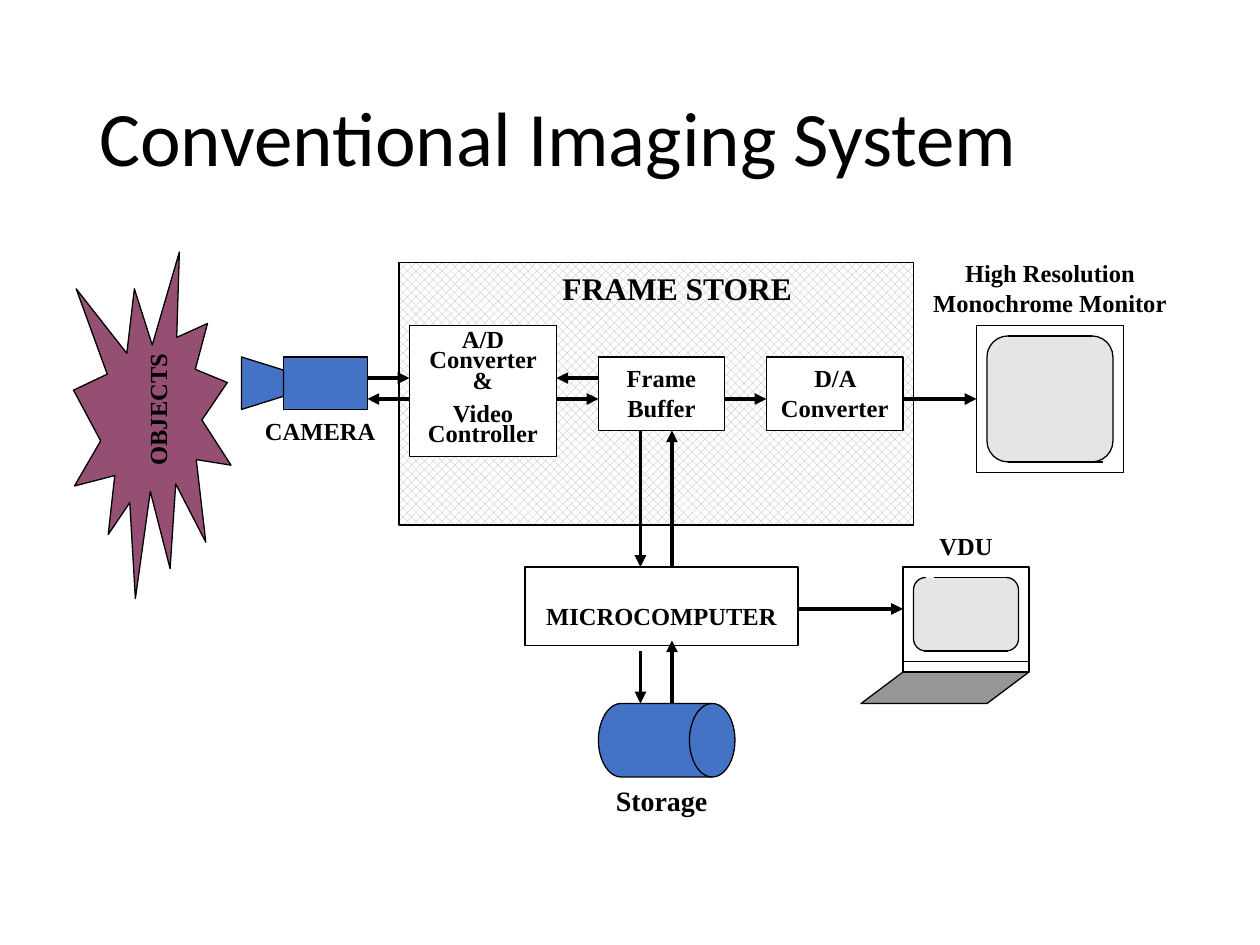
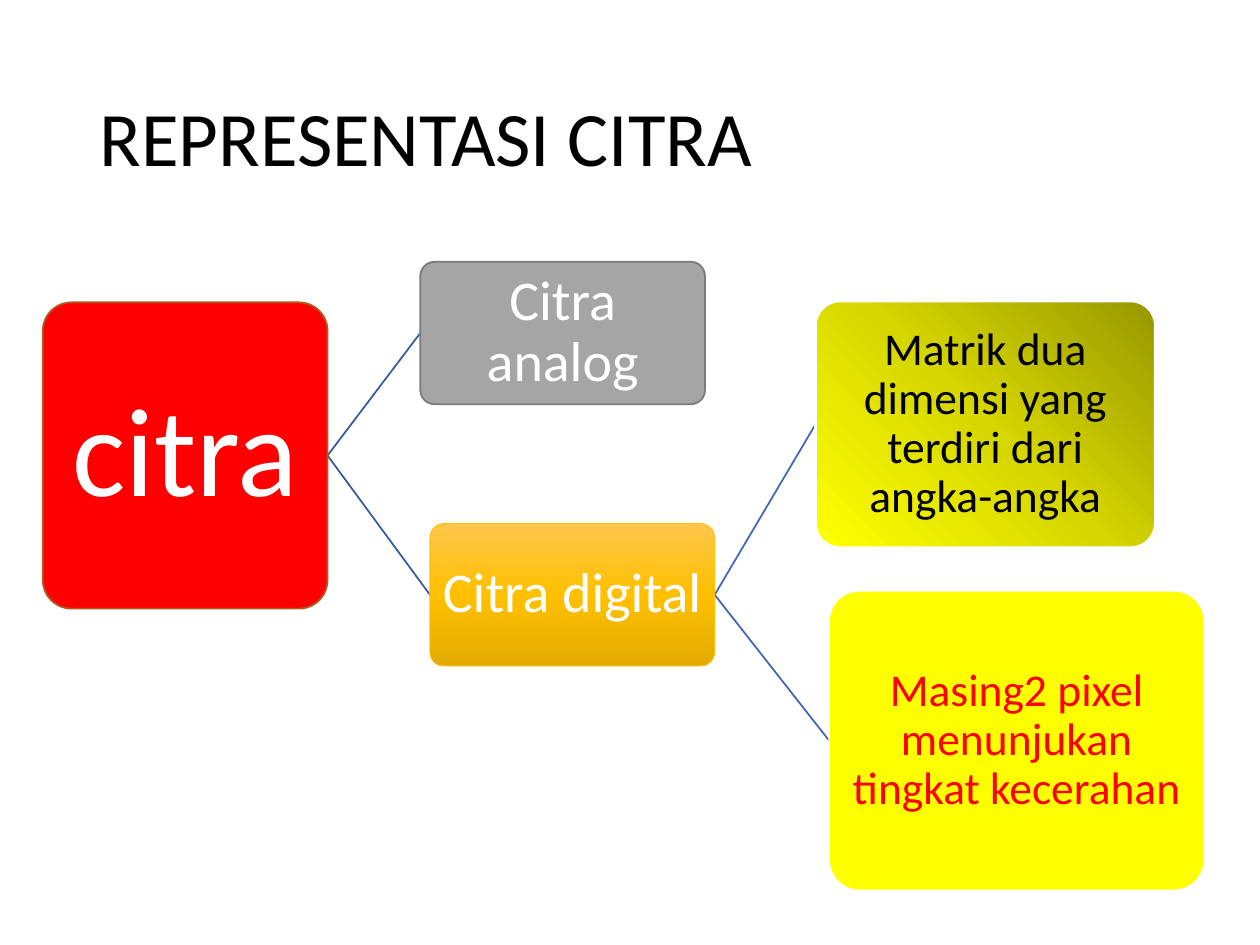
from copy import deepcopy

from lxml import etree
from pptx import Presentation
from pptx.dml.color import RGBColor
from pptx.enum.dml import MSO_PATTERN
from pptx.enum.shapes import MSO_CONNECTOR, MSO_SHAPE
from pptx.enum.text import MSO_ANCHOR, PP_ALIGN
from pptx.oxml.ns import qn
from pptx.util import Pt

BLACK = RGBColor(0x00, 0x00, 0x00)
WHITE = RGBColor(0xFF, 0xFF, 0xFF)
BLUE = RGBColor(0x44, 0x72, 0xC4)
PLUM = RGBColor(0x95, 0x4F, 0x72)
HATCH_GRAY = RGBColor(0xB2, 0xB2, 0xB2)
SCREEN_GRAY = RGBColor(0xCC, 0xCC, 0xCC)
KEYBOARD_GRAY = RGBColor(0x96, 0x96, 0x96)
RED = RGBColor(0xFF, 0x00, 0x00)
RED_EDGE = RGBColor(0xAF, 0x5C, 0x24)
GRAY = RGBColor(0xA5, 0xA5, 0xA5)
GRAY_EDGE = RGBColor(0x7A, 0x7A, 0x7A)
YELLOW = RGBColor(0xFF, 0xFF, 0x00)
GOLD = RGBColor(0xFF, 0xC0, 0x00)
GOLD_STOPS = (RGBColor(0xFF, 0xC6, 0x4B), GOLD, RGBColor(0xE3, 0xAB, 0x00))
YELLOW_STOPS = (RGBColor(0x97, 0x97, 0x00), RGBColor(0xD7, 0xD7, 0x00), YELLOW)
LINK_DARK = RGBColor(0x36, 0x5B, 0x9D)
LINK_LIGHT = RGBColor(0x3E, 0x67, 0xB2)

SANS = "Calibri"
SERIF = "Times New Roman"

RECT = MSO_SHAPE.RECTANGLE
ROUNDED = MSO_SHAPE.ROUNDED_RECTANGLE
BRACKETS = MSO_SHAPE.DOUBLE_BRACKET
DRUM = MSO_SHAPE.FLOWCHART_DIRECT_ACCESS_STORAGE
BURST = MSO_SHAPE.EXPLOSION1
PARALLELOGRAM = MSO_SHAPE.PARALLELOGRAM
STRAIGHT = MSO_CONNECTOR.STRAIGHT
CENTER, LEFT = PP_ALIGN.CENTER, PP_ALIGN.LEFT
TOP, MIDDLE = MSO_ANCHOR.TOP, MSO_ANCHOR.MIDDLE
LEFT_SIDE, RIGHT_SIDE = 1, 3


def write(sp, paragraphs, size, font=SERIF, color=BLACK, bold=True, align=CENTER,
          anchor=TOP, spacing=1.0, gap=0):
    tf = sp.text_frame
    tf.word_wrap = True
    tf.vertical_anchor = anchor
    for i, text in enumerate(paragraphs):
        p = tf.add_paragraph() if i else tf.paragraphs[0]
        p.text = text
        p.alignment = align
        p.line_spacing = spacing
        if i:
            p.space_before = Pt(gap)
        p.font.name, p.font.size, p.font.bold = font, Pt(size), bold
        p.font.color.rgb = color
    return tf


def add_label(slide, box, text, size=14, **style):
    sp = slide.shapes.add_textbox(*map(Pt, box))
    write(sp, [text], size, **style)
    return sp


def add_title(slide, text):
    add_label(slide, (49.7, 28.8, 620.6, 104.4), text, 44, font=SANS, bold=False,
              align=LEFT, anchor=MIDDLE, spacing=0.9)


def paint(sp, fill=None, line=BLACK, width=0.75):
    """Fill with a colour, a sequence of gradient stops (set later) or nothing."""
    sp.shadow.inherit = False
    if fill is None:
        sp.fill.background()
    else:
        sp.fill.solid()
        sp.fill.fore_color.rgb = fill
    sp.line.color.rgb = line
    sp.line.width = Pt(width)


def add_box(slide, kind, box, fill=None, line=BLACK, width=0.75, adj=None):
    sp = slide.shapes.add_shape(kind, *map(Pt, box))
    paint(sp, fill, line, width)
    if adj is not None:
        sp.adjustments[0] = adj
    return sp


def add_line(slide, x1, y1, x2, y2, color=BLACK, width=0.75, arrow=False):
    cn = slide.shapes.add_connector(STRAIGHT, Pt(x1), Pt(y1), Pt(x2), Pt(y2))
    cn.line.color.rgb = color
    cn.line.width = Pt(width)
    if arrow:
        etree.SubElement(cn.line._get_or_add_ln(), qn("a:tailEnd"), type="triangle")
    etree.SubElement(cn._element.spPr, qn("a:effectLst"))
    return cn


def add_arrow(slide, x1, y1, x2, y2):
    return add_line(slide, x1, y1, x2, y2, width=2.25, arrow=True)


def add_screen(slide, box, top_edge, bottom_edge):
    """Half-transparent screen whose brackets are closed by two edges (x1, x2)."""
    sp = add_box(slide, BRACKETS, box, SCREEN_GRAY, adj=0.167)
    rgb = sp._element.spPr.find(qn("a:solidFill"))[0]
    etree.SubElement(rgb, qn("a:alpha"), val="50000")
    top, bottom = box[1], box[1] + box[3]
    for y, (x1, x2) in ((top, top_edge), (bottom, bottom_edge)):
        add_line(slide, x1, y, x2, y)


def add_polygon(slide, points, fill):
    (x, y), *rest = points
    fb = slide.shapes.build_freeform(Pt(x), Pt(y))
    fb.add_line_segments([(Pt(px), Pt(py)) for px, py in rest], close=True)
    paint(fb.convert_to_shape(), fill)


def set_gradient(sp, colors, angle):
    """Three even stops; the angle runs counter-clockwise."""
    sp.fill.gradient()
    sp.fill.gradient_angle = angle
    stops = sp._element.spPr.find(".//" + qn("a:gsLst"))
    stops.append(deepcopy(stops[0]))
    for i, (stop, color) in enumerate(zip(sp.fill.gradient_stops, colors)):
        stop.color.rgb = color
        stop.position = i / 2


def add_node(slide, box, text, size, fill, line, width=1, color=WHITE, inset=1.5):
    sp = add_box(slide, ROUNDED, box, fill, line, width, adj=0.1)
    tf = write(sp, [text], size, font=SANS, color=color, bold=False, anchor=MIDDLE,
               spacing=0.9)
    tf.margin_left = tf.margin_right = tf.margin_top = tf.margin_bottom = Pt(inset)
    return sp


def link_nodes(slide, parent, child, color):
    cn = add_line(slide, 0, 0, 0, 0, color, 1)
    cn.begin_connect(parent, RIGHT_SIDE)
    cn.end_connect(child, LEFT_SIDE)
    slide.shapes._spTree.insert(2, cn._element)


def build_imaging_system(slide):
    add_title(slide, "Conventional Imaging System")

    store = add_box(slide, RECT, (228, 150, 294, 150), WHITE)
    store.fill.patterned()
    store.fill.pattern = MSO_PATTERN.PERCENT_50
    store.fill.fore_color.rgb = HATCH_GRAY
    store.fill.back_color.rgb = WHITE
    add_label(slide, (288, 150, 198, 29), "FRAME STORE", 18)

    converter = add_box(slide, RECT, (234, 186, 84, 75), WHITE)
    write(converter, ["A/D Converter &", "Video Controller"], 14, spacing=0.7, gap=7)
    for x, width, text in ((342, 72, "Frame Buffer"), (438, 78, "D/A Converter")):
        write(add_box(slide, RECT, (x, 204, width, 42), WHITE), [text], 14)

    micro = add_box(slide, RECT, (300, 324, 156, 45))
    tf = write(micro, ["MICROCOMPUTER"], 14, anchor=MIDDLE)
    tf.margin_top, tf.margin_bottom = Pt(11), Pt(0)

    add_box(slide, DRUM, (342, 402, 78, 42), BLUE)
    add_label(slide, (312, 444, 132, 27), "Storage", 16)

    add_box(slide, RECT, (162, 204, 48, 30), BLUE)
    add_polygon(slide, [(138, 234), (162, 226.5), (162, 211.5), (138, 204)], BLUE)
    add_label(slide, (144, 234, 78, 24), "CAMERA").text_frame.word_wrap = False

    add_box(slide, BURST, (42, 144, 90, 198), PLUM)
    add_label(slide, (30, 222, 120, 24), "OBJECTS").rotation = 270

    add_screen(slide, (564, 192, 72, 72), (576, 624), (576, 630))
    monitor = add_box(slide, RECT, (558, 186, 84, 84))
    add_label(slide, (516, 144, 168, 41), "High Resolution Monochrome Monitor")

    add_box(slide, PARALLELOGRAM, (492, 384, 96, 18), KEYBOARD_GRAY, adj=1.333)
    add_screen(slide, (522, 330, 60, 42), (534, 576), (528, 576))
    add_box(slide, RECT, (516, 324, 72, 60))
    add_line(slide, 516, 378, 588, 378)
    add_label(slide, (522, 300, 60, 24), "VDU")

    for arrow in (
        (210, 216, 234, 216), (234, 228, 210, 228),  # camera and A/D converter
        (342, 216, 318, 216), (318, 228, 342, 228),  # A/D converter and buffer
        (414, 228, 438, 228),                        # buffer to D/A converter
        (366, 246, 366, 324), (384, 324, 384, 246),  # buffer and microcomputer
        (366, 372, 366, 402), (384, 402, 384, 366),  # microcomputer and storage
        (456, 348, 516, 348),                        # microcomputer to VDU
    ):
        add_arrow(slide, *arrow)
    add_arrow(slide, 516, 228, 558, 228).end_connect(monitor, LEFT_SIDE)


def build_representation(slide):
    add_title(slide, "REPRESENTASI CITRA")
    citra = add_node(slide, (24.5, 172.8, 162.7, 175), "citra", 72, RED, RED_EDGE,
                     inset=3.6)
    analog = add_node(slide, (240.2, 149.6, 162.7, 81.4), "Citra analog", 32, GRAY,
                      GRAY_EDGE)
    digital = add_node(slide, (245.7, 299.2, 162.7, 81.4), "Citra digital", 32, GOLD,
                       GOLD, width=0.5)
    set_gradient(digital, GOLD_STOPS, 270)
    matrix = add_node(slide, (466, 172, 194.2, 141), 
                      "Matrik dua dimensi yang terdiri dari angka-angka", 26, YELLOW,
                      WHITE, width=1.5, color=BLACK)
    set_gradient(matrix, YELLOW_STOPS, 225)
    pixel = add_node(slide, (473.8, 337.6, 214.4, 171.2),
                     "Masing2 pixel menunjukan tingkat kecerahan", 26, YELLOW, WHITE,
                     color=RED)
    for child in (analog, digital):
        link_nodes(slide, citra, child, LINK_DARK)
    for child in (matrix, pixel):
        link_nodes(slide, digital, child, LINK_LIGHT)


def main():
    prs = Presentation()
    prs.slide_width, prs.slide_height = Pt(720), Pt(540)
    blank = prs.slide_layouts[6]
    for build in (build_imaging_system, build_representation):
        build(prs.slides.add_slide(blank))
    prs.save("out.pptx")


if __name__ == "__main__":
    main()
